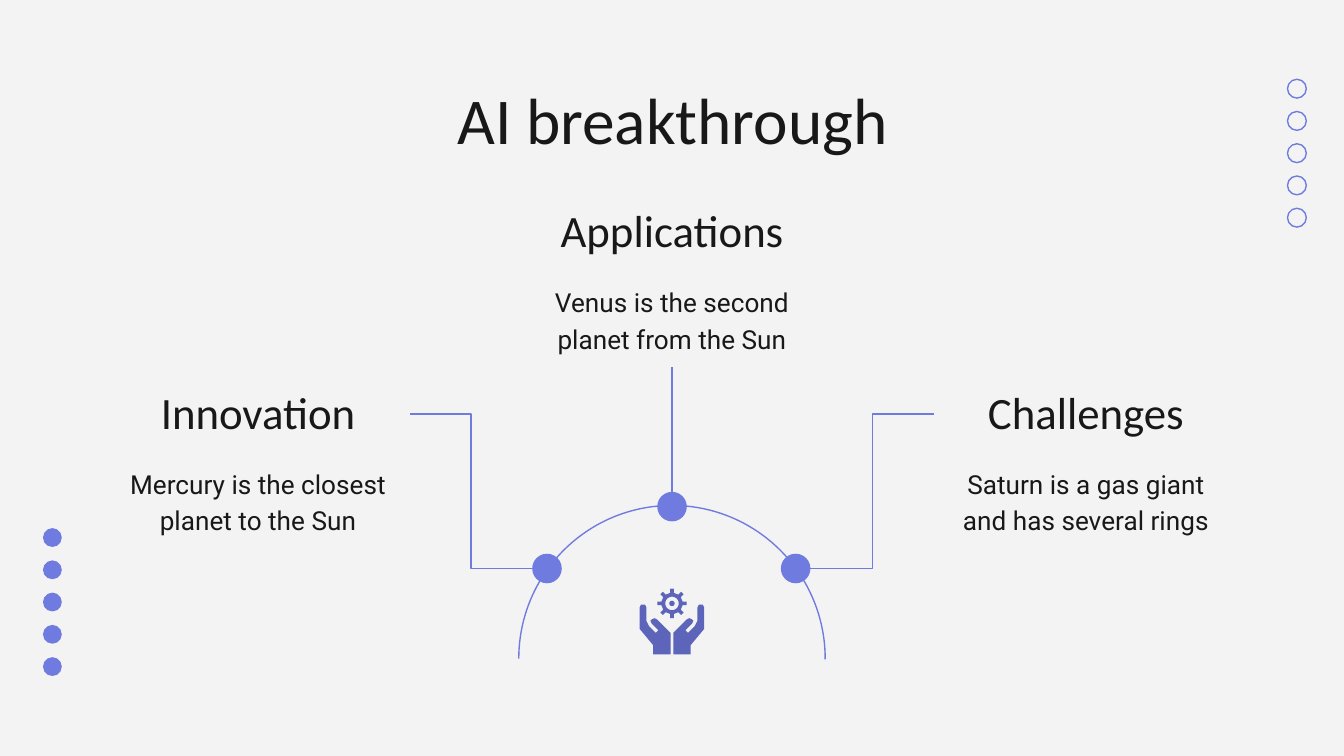
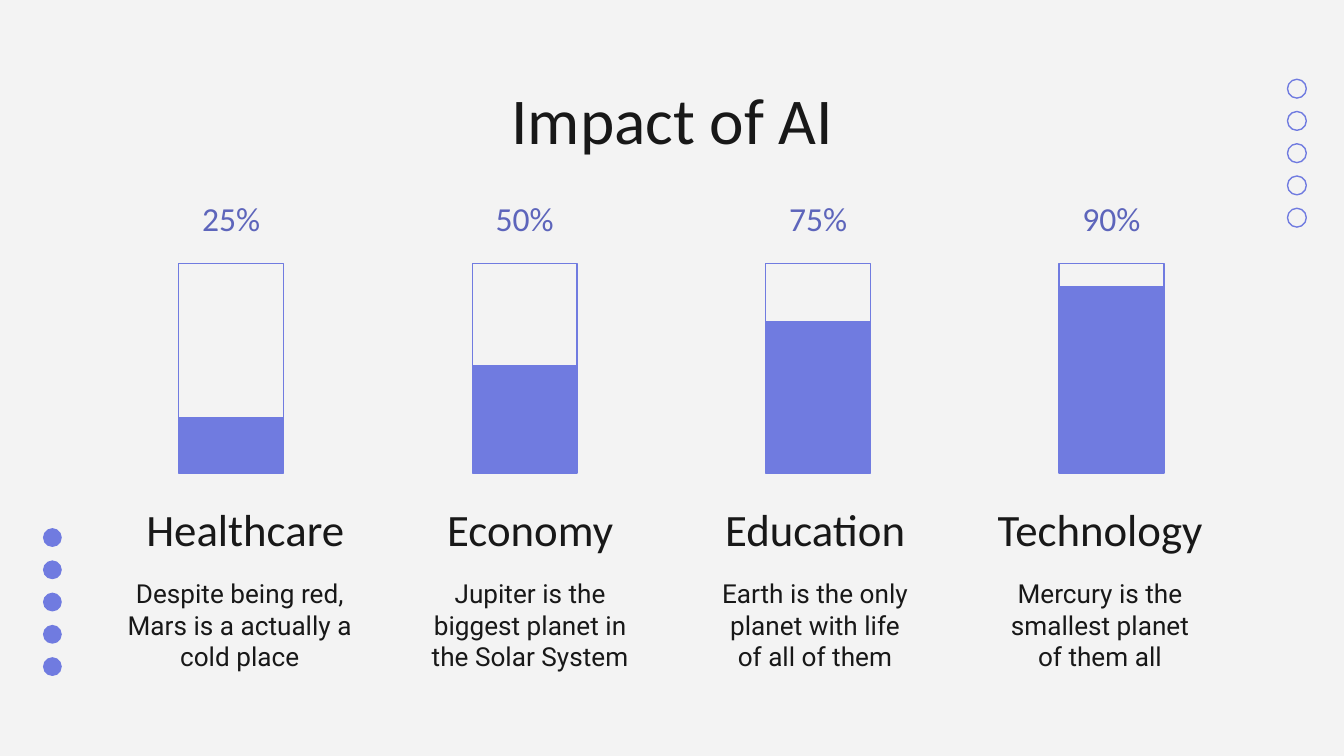
from math import cos, pi, sin

from lxml.etree import SubElement
from pptx import Presentation
from pptx.dml.color import RGBColor as Rgb
from pptx.enum.shapes import MSO_CONNECTOR as Link, MSO_SHAPE as Kind
from pptx.enum.text import MSO_ANCHOR as Anchor, PP_ALIGN as Align
from pptx.oxml.ns import qn
from pptx.util import Inches, Pt

COLORS = {"back": "F3F3F3", "ink": "181818", "main": "707BE0", "deep": "5D65BB"}
HEAD, BODY = "Calibri", "Roboto"
THIN = Pt(0.75)
WIDE = Inches(10)
MID = 5

# Right hand: distance from the middle line, then height on the slide
HAND = [(0.20, 4.50), (0.19, 4.52), (0.19, 4.62), (0.17, 4.66), (0.12, 4.71),
        (0.10, 4.69), (0.15, 4.64), (0.16, 4.62), (0.15, 4.61), (0.13, 4.60),
        (0.11, 4.61), (0.01, 4.71), (0.01, 4.87), (0.14, 4.87), (0.14, 4.80),
        (0.24, 4.68), (0.24, 4.52), (0.23, 4.50)]

# Left, top, heading, text
TOPICS = [
    (0.79, 2.81, "Innovation", "Mercury is the closest planet to the Sun"),
    (3.87, 1.46, "Applications", "Venus is the second planet from the Sun"),
    (6.95, 2.81, "Challenges", "Saturn is a gas giant and has several rings"),
]

# Share, height of the filled part, heading, text, side insets
FIELDS = [
    ("25%", 0.40, "Healthcare",
     "Despite being red, Mars is a actually a cold place", (0.1, 0.18)),
    ("50%", 0.79, "Economy",
     "Jupiter is the biggest planet in the Solar System", (0.3, 0.3)),
    ("75%", 1.12, "Education",
     "Earth is the only planet with life of all of them", (0.3, 0.3)),
    ("90%", 1.38, "Technology",
     "Mercury is the smallest planet of them all", (0.3, 0.3)),
]


def color(name):
    return Rgb.from_string(COLORS[name])


def paint(shape, fill=None, line=None):
    shape.shadow.inherit = False
    if fill:
        shape.fill.solid()
        shape.fill.fore_color.rgb = color(fill)
    else:
        shape.fill.background()
    if line:
        shape.line.color.rgb = color(line)
        shape.line.width = THIN
    else:
        shape.line.fill.background()


def add_form(slide, kind, box, fill=None, line=None):
    shape = slide.shapes.add_shape(kind, *map(Inches, box))
    paint(shape, fill, line)
    return shape


def add_text(slide, box, text, size, font=HEAD, ink="ink", anchor=Anchor.TOP,
             sides=(0.1, 0.1), space=None):
    frame = slide.shapes.add_textbox(*map(Inches, box)).text_frame
    frame.word_wrap = True
    frame.vertical_anchor = anchor
    frame.margin_left, frame.margin_right = map(Inches, sides)
    frame.margin_top = frame.margin_bottom = Inches(0.1)
    para = frame.paragraphs[0]
    para.alignment = Align.CENTER
    if space:
        para.line_spacing = space
    run = para.add_run()
    run.text = text
    run.font.size = Pt(size)
    run.font.name = font
    run.font.color.rgb = color(ink)


def add_link(slide, kind, start, end):
    link = slide.shapes.add_connector(kind, *map(Inches, start + end))
    link.line.color.rgb = color("main")
    link.line.width = THIN
    SubElement(link._element.spPr, qn("a:effectLst"))


def add_path(slide, *loops):
    """Fill closed loops as one outline; later loops cut holes."""
    loops = [[(Inches(x), Inches(y)) for x, y in loop] for loop in loops]
    pen = slide.shapes.build_freeform(*loops[0][0], scale=1.0)
    for i, loop in enumerate(loops):
        if i:
            pen.move_to(*loop[0])
        pen.add_line_segments(loop[1:], close=True)
    paint(pen.convert_to_shape(), "deep")


def add_gear(slide, x, y):
    def spot(radius, angle):
        return x + radius * cos(angle), y + radius * sin(angle)

    rim = []
    for i in range(8):
        turn = i * pi / 4
        rim += [spot(r, turn + a) for r, a in
                [(0.08, -0.17), (0.11, -0.12), (0.11, 0.12), (0.08, 0.17)]]
    hole = [spot(0.05, -i * pi / 16) for i in range(32)]
    add_path(slide, rim, hole)
    add_form(slide, Kind.OVAL, (x - 0.02, y - 0.02, 0.04, 0.04), "deep")


def add_hands(slide):
    for side in (1, -1):
        add_path(slide, [(MID + side * x, y) for x, y in HAND])


def add_page(deck, title):
    """Add a slide with the dot columns and the title that all slides share."""
    slide = deck.slides.add_slide(deck.slide_layouts[6])
    for i in range(5):
        step = 0.24 * i
        add_form(slide, Kind.OVAL, (0.32, 3.93 + step, 0.14, 0.14), "main")
        add_form(slide, Kind.OVAL, (9.58, 0.59 + step, 0.14, 0.14), line="main")
    add_text(slide, (0.79, 0.49, 8.43, 0.63), title, 35)
    return slide


def add_topic(slide, left, top, head, text):
    add_text(slide, (left, top, 2.26, 0.55), head, 24, anchor=Anchor.BOTTOM)
    add_text(slide, (left, top + 0.54, 2.26, 0.73), text, 14, BODY, space=1.15)


def add_field(slide, i, share, level, head, text, sides):
    """Draw one column: share, bar filled from below, heading and text."""
    bar = 1.33 + i * 6.55 / 3
    left = 0.79 + i * 2.12
    add_text(slide, (bar, 1.42, 0.78, 0.4), share, 18, ink="deep",
             anchor=Anchor.MIDDLE)
    add_form(slide, Kind.RECTANGLE, (bar, 1.96, 0.78, 1.56), line="main")
    add_form(slide, Kind.RECTANGLE, (bar, 3.51 - level, 0.78, level),
             "main", "main")
    add_text(slide, (left, 3.76, 2.07, 0.47), head, 24, anchor=Anchor.BOTTOM)
    add_text(slide, (left, 4.2, 2.07, 0.84), text, 14, BODY, sides=sides)


def draw_ideas(deck):
    slide = add_page(deck, "AI breakthrough")
    arc = add_form(slide, Kind.ARC, (3.86, 3.76, 2.28, 2.28), line="main")
    arc.rotation = 270
    arc.adjustments[0], arc.adjustments[1] = 162, 54.15
    for x, y in [(3.96, 4.12), (4.89, 3.66), (5.81, 4.12)]:
        add_form(slide, Kind.OVAL, (x, y, 0.22, 0.22), "main")
    for topic in TOPICS:
        add_topic(slide, *topic)
    add_link(slide, Link.ELBOW, (3.05, 3.08), (3.96, 4.23))
    add_link(slide, Link.STRAIGHT, (MID, 2.73), (MID, 3.66))
    add_link(slide, Link.ELBOW, (6.95, 3.08), (6.03, 4.23))
    add_gear(slide, MID, 4.49)
    add_hands(slide)


def draw_impact(deck):
    slide = add_page(deck, "Impact of AI")
    for i, field in enumerate(FIELDS):
        add_field(slide, i, *field)


def main():
    deck = Presentation()
    deck.slide_width, deck.slide_height = WIDE, WIDE * 9 // 16
    back = deck.slide_master.background.fill
    back.solid()
    back.fore_color.rgb = color("back")
    draw_ideas(deck)
    draw_impact(deck)
    deck.save("out.pptx")


if __name__ == "__main__":
    main()
